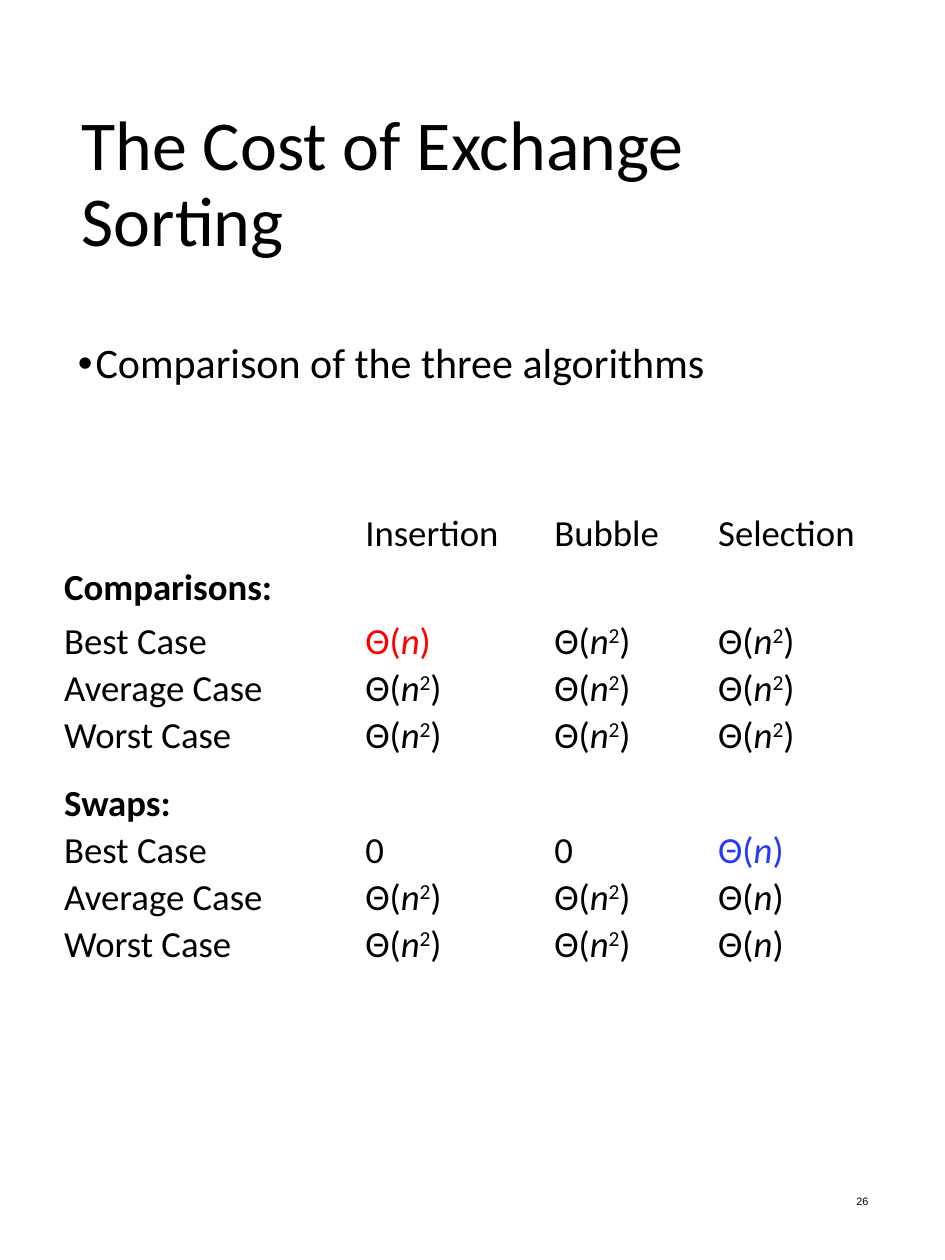
from dataclasses import dataclass

from lxml.etree import SubElement
from pptx import Presentation
from pptx.dml.color import RGBColor
from pptx.enum.text import MSO_ANCHOR, PP_ALIGN
from pptx.oxml.ns import qn
from pptx.util import Inches, Pt

COLORS = {"black": "000000", "red": "FF0000", "blue": "263AF8"}


@dataclass(frozen=True)
class TextRun:
    text: str
    bold: bool = False
    italic: bool = False
    superscript: bool = False


@dataclass(frozen=True)
class CellText:
    runs: tuple[TextRun, ...] = ()
    color: str = "black"


@dataclass(frozen=True)
class TextBox:
    text: str
    left: float
    top: float
    width: float
    height: float
    size: float
    font: str = "Calibri"
    anchor: MSO_ANCHOR = MSO_ANCHOR.MIDDLE
    align: PP_ALIGN = PP_ALIGN.LEFT
    line_spacing: float = 0.9
    bullet: bool = False


def plain(text: str, bold: bool = False) -> CellText:
    return CellText((TextRun(text, bold=bold),))


def theta(power: str = "", color: str = "black") -> CellText:
    exponent = (TextRun(power, superscript=True),) if power else ()
    return CellText(
        (TextRun("Θ("), TextRun("n", italic=True), *exponent, TextRun(")")), color
    )


def add_run(paragraph, part: TextRun, size: float, font: str, color: str) -> None:
    run = paragraph.add_run()
    run.text = part.text
    run.font.size = Pt(size)
    run.font.name = font
    run.font.bold = part.bold
    run.font.italic = part.italic
    run.font.color.rgb = RGBColor.from_string(COLORS[color])
    if part.superscript:
        run._r.get_or_add_rPr().set("baseline", "30000")


def add_bullet(paragraph, indent: float) -> None:
    properties = paragraph._p.get_or_add_pPr()
    properties.set("marL", str(Inches(indent)))
    properties.set("indent", str(-Inches(indent)))
    SubElement(properties, qn("a:buFont")).set("typeface", "Arial")
    SubElement(properties, qn("a:buChar")).set("char", "•")


def add_text_box(slide, box: TextBox) -> None:
    shape = slide.shapes.add_textbox(
        Inches(box.left), Inches(box.top), Inches(box.width), Inches(box.height)
    )
    frame = shape.text_frame
    frame.word_wrap = True
    frame.vertical_anchor = box.anchor
    paragraph = frame.paragraphs[0]
    paragraph.alignment = box.align
    paragraph.line_spacing = box.line_spacing
    if box.bullet:
        add_bullet(paragraph, 0.14)
    add_run(paragraph, TextRun(box.text), box.size, box.font, "black")


def fill_cell(cell, content: CellText, margin_top: float) -> None:
    cell.fill.background()
    cell.margin_left = cell.margin_right = Inches(0.07)
    cell.margin_top = Inches(margin_top)
    cell.margin_bottom = Inches(0.04)
    paragraph = cell.text_frame.paragraphs[0]
    paragraph.line_spacing = 0.8
    for part in content.runs:
        add_run(paragraph, part, 21, "Calibri", content.color)


def add_cost_table(slide) -> None:
    empty = CellText()
    zero = plain("0")
    linear = theta()
    square = theta("2")
    rows = [
        [empty, plain("Insertion"), plain("Bubble"), plain("Selection")],
        [plain("Comparisons:", bold=True), empty, empty, empty],
        [plain("Best Case"), theta(color="red"), square, square],
        [plain("Average Case"), square, square, square],
        [plain("Worst Case"), square, square, square],
        [plain("Swaps:", bold=True), empty, empty, empty],
        [plain("Best Case"), zero, zero, theta(color="blue")],
        [plain("Average Case"), square, square, linear],
        [plain("Worst Case"), square, square, linear],
    ]
    widths = [2.39, 1.5, 1.3, 1.5]
    swaps_row = 5
    heights = [0.43] * 2 + [0.37] * 3 + [0.54] + [0.37] * 3
    table = slide.shapes.add_table(
        len(rows), len(widths), Inches(0.44), Inches(4.07),
        Inches(sum(widths)), Inches(sum(heights)),
    ).table
    table.first_row = False
    table.horz_banding = False
    for column, width in zip(table.columns, widths):
        column.width = Inches(width)
    for index, (row, height) in enumerate(zip(rows, heights)):
        table.rows[index].height = Inches(height)
        margin_top = 0.21 if index == swaps_row else 0.04
        for cell, content in zip(table.rows[index].cells, row):
            fill_cell(cell, content, margin_top)


def main() -> None:
    presentation = Presentation()
    presentation.slide_width = Inches(7.5)
    presentation.slide_height = Inches(10)
    slide = presentation.slides.add_slide(presentation.slide_layouts[6])
    boxes = [
        TextBox("The Cost of Exchange Sorting", 0.55, 0.51, 6.47, 1.93, 40),
        TextBox("Comparison of the three algorithms", 0.52, 2.67, 6.47, 6.34, 24,
                anchor=MSO_ANCHOR.TOP, bullet=True),
        TextBox("26", 5.3, 9.27, 1.69, 0.53, 6.2, font="Arial",
                align=PP_ALIGN.RIGHT, line_spacing=1.0),
    ]
    for box in boxes:
        add_text_box(slide, box)
    add_cost_table(slide)
    presentation.save("out.pptx")


if __name__ == "__main__":
    main()
